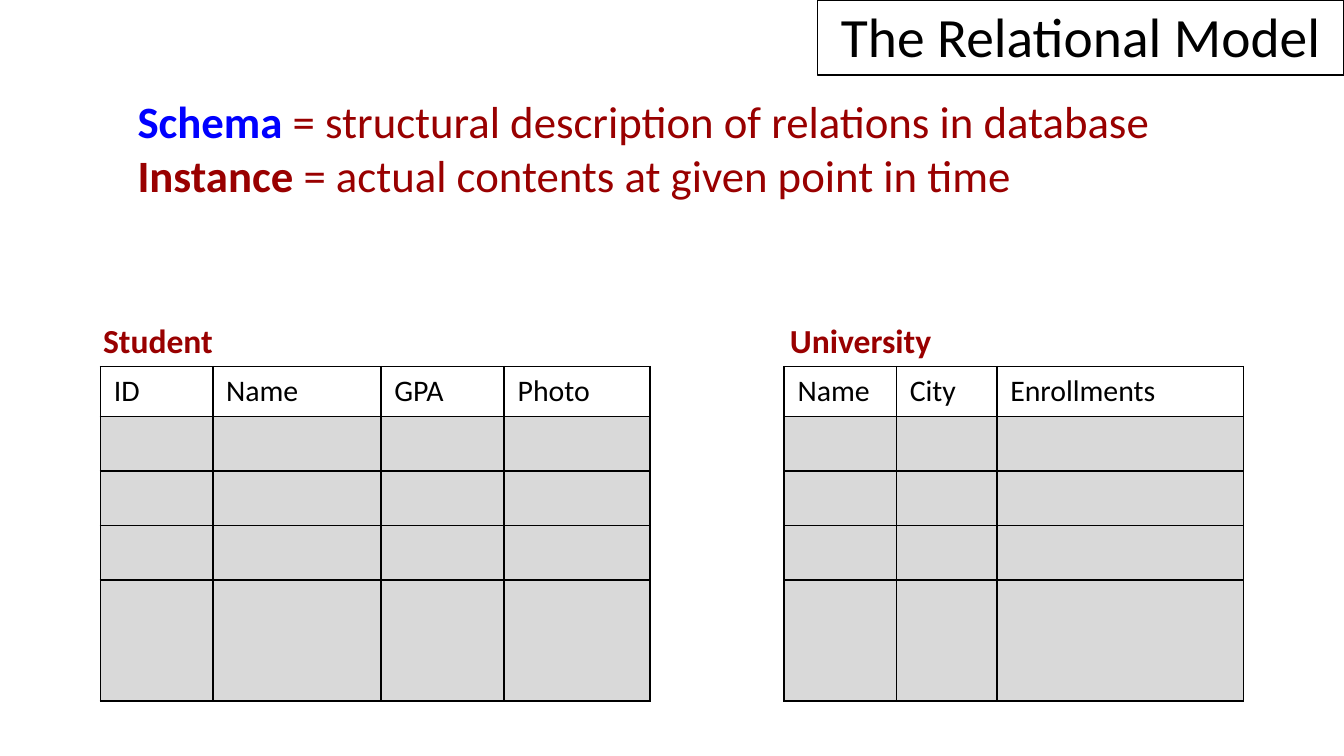
from lxml.etree import SubElement
from pptx import Presentation
from pptx.dml.color import RGBColor
from pptx.enum.shapes import MSO_SHAPE
from pptx.enum.text import MSO_ANCHOR, MSO_AUTO_SIZE, PP_ALIGN
from pptx.oxml.ns import qn
from pptx.util import Cm, Pt

# Content
TITLE = "The Relational Model"
TERMS = [
    [("Schema", "blue", True),
     (" = structural description of relations in database", "red", False)],
    [("Instance", "red", True),
     (" = actual contents at given point in time", "red", False)],
]
LABELS = "Student\tUniversity"
TABLES = [  # left edge, then (heading, column width), in cm
    (1.9, [("ID", 2.12), ("Name", 3.18), ("GPA", 2.33), ("Photo", 2.75)]),
    (14.82, [("Name", 2.12), ("City", 1.9), ("Enrollments", 4.66)]),
]
ROWS = [0.94] + [1.03] * 3 + [2.29]  # heights in cm
TOP = 6.93

FONT = "Calibri"
COLORS = {"black": "000000", "white": "FFFFFF", "gray": "D9D9D9",
          "blue": "0000FF", "red": "990000"}


def color(name):
    return RGBColor.from_string(COLORS[name])


def paint(fill, name):
    fill.solid()
    fill.fore_color.rgb = color(name)


def write(para, text, size=16, tint="black", bold=False, align=PP_ALIGN.LEFT):
    para.alignment = align
    run = para.add_run()
    run.text = text
    run.font.name = FONT
    run.font.size = Pt(size)
    run.font.bold = bold
    run.font.color.rgb = color(tint)


def place(shape, left, top, width, height):
    shape.left, shape.top = Cm(left), Cm(top)
    shape.width, shape.height = Cm(width), Cm(height)


def border(cell):
    props = cell._tc.get_or_add_tcPr()
    for n, side in enumerate(("lnL", "lnR", "lnT", "lnB")):
        line = props.makeelement(qn(f"a:{side}"), {"w": str(Pt(1))})
        fill = SubElement(line, qn("a:solidFill"))
        SubElement(fill, qn("a:srgbClr"), val=COLORS["black"])
        props.insert(n, line)


def grid(slide, left, cols):
    width = sum(wide for _, wide in cols)
    table = slide.shapes.add_table(
        len(ROWS), len(cols), Cm(left), Cm(TOP), Cm(width), Cm(sum(ROWS))).table
    for row, high in zip(table.rows, ROWS):
        row.height = Cm(high)
    for c, (head, wide) in enumerate(cols):
        table.columns[c].width = Cm(wide)
        for r in range(len(ROWS)):
            cell = table.cell(r, c)
            paint(cell.fill, "gray" if r else "white")
            border(cell)
        write(table.cell(0, c).text_frame.paragraphs[0], head)


def main():
    deck = Presentation()
    deck.slide_width, deck.slide_height = Cm(25.4), Cm(14.29)
    slide = deck.slides.add_slide(deck.slide_layouts[5])

    # Definitions
    box = slide.shapes.add_shape(MSO_SHAPE.RECTANGLE, 0, 0, 0, 0)
    place(box, 2.1, 1.65, 22.02, 2.97)
    box.shadow.inherit = False
    paint(box.fill, "white")
    box.line.fill.background()
    frame = box.text_frame
    frame.word_wrap = True
    frame.vertical_anchor = MSO_ANCHOR.TOP
    frame.margin_left = Cm(0.5)
    for n, term in enumerate(TERMS):
        para = frame.add_paragraph() if n else frame.paragraphs[0]
        for text, tint, bold in term:
            write(para, text, size=24, tint=tint, bold=bold)

    # Title
    title = slide.shapes.title
    place(title, 15.45, 0, 9.95, 1.42)
    title.line.color.rgb = color("black")
    title.line.width = Pt(0.75)
    frame = title.text_frame
    frame.auto_size = MSO_AUTO_SIZE.NONE
    frame.vertical_anchor = MSO_ANCHOR.BOTTOM
    write(frame.paragraphs[0], TITLE, size=29.7, align=PP_ALIGN.CENTER)

    # Tables
    for left, cols in TABLES:
        grid(slide, left, cols)

    # Table names, the second one at a tab stop
    names = slide.shapes.add_textbox(Cm(1.7), Cm(5.92), Cm(22.43), Cm(1.03))
    names.text_frame.word_wrap = True
    para = names.text_frame.paragraphs[0]
    write(para, LABELS, size=18, tint="red", bold=True)
    tabs = SubElement(para._p.get_or_add_pPr(), qn("a:tabLst"))
    SubElement(tabs, qn("a:tab"), pos=str(Cm(12.98)), algn="l")

    deck.save("out.pptx")


if __name__ == "__main__":
    main()
